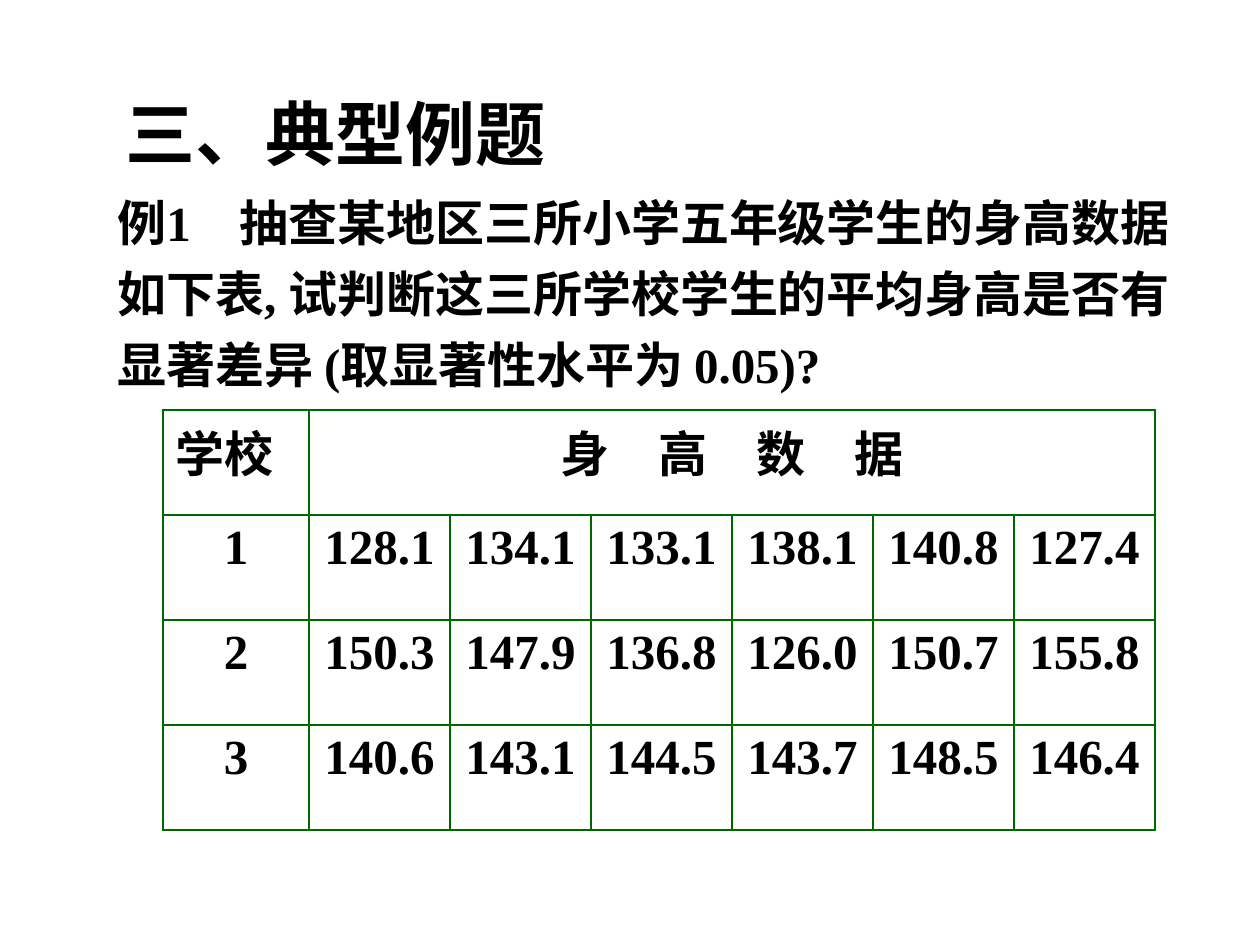
"""Build the worked-example slide on pupils' heights in three schools."""
from lxml import etree
from pptx import Presentation
from pptx.dml.color import RGBColor
from pptx.enum.text import MSO_ANCHOR, MSO_AUTO_SIZE, PP_ALIGN
from pptx.oxml.ns import qn
from pptx.util import Emu, Pt

LEFT, CENTER = PP_ALIGN.LEFT, PP_ALIGN.CENTER
MIDDLE = MSO_ANCHOR.MIDDLE
GROW = MSO_AUTO_SIZE.SHAPE_TO_FIT_TEXT
BLACK = RGBColor(0x00, 0x00, 0x00)
GREEN = RGBColor(0x00, 0x66, 0x00)
FONT = "Times New Roman"

QUESTION = [
    "例1　抽查某地区三所小学五年级学生的身高数据",
    "如下表, 试判断这三所学校学生的平均身高是否有",
    "显著差异 (取显著性水平为 0.05)?",
]
HEIGHTS = [
    ["128.1", "134.1", "133.1", "138.1", "140.8", "127.4"],
    ["150.3", "147.9", "136.8", "126.0", "150.7", "155.8"],
    ["140.6", "143.1", "144.5", "143.7", "148.5", "146.4"],
]


def px(count):
    return Emu(round(count * 914400 / 126))


def style(para, size, align=LEFT):
    para.alignment = align
    para.font.name = FONT
    para.font.size = Pt(size)
    para.font.bold = True
    para.font.color.rgb = BLACK


deck = Presentation()
deck.slide_width, deck.slide_height = px(1260), px(945)
page = deck.slides.add_slide(deck.slide_layouts[5])

title = page.shapes.title
title.left, title.top, title.width, title.height = px(113), px(84), px(1075), px(97)
title.text_frame.text = "三、典型例题"
title.text_frame.vertical_anchor = MIDDLE
title.text_frame.auto_size = GROW
style(title.text_frame.paragraphs[0], 40)

question = page.shapes.add_textbox(px(105), px(175), px(1100), px(224))
question.text_frame.text = "\n".join(QUESTION)
question.text_frame.word_wrap = True
question.text_frame.margin_right = 0
question.text_frame.auto_size = GROW
for para in question.text_frame.paragraphs:
    para.line_spacing = 1.2
    style(para, 28)

rows = [["学校", "身　高　数　据"] + [""] * 5]
rows += [[str(school), *values] for school, values in enumerate(HEIGHTS, 1)]
frame = page.shapes.add_table(4, 7, px(163), px(410), px(992), px(420))
table = frame.table
table.first_row = table.horz_banding = False
for index, column in enumerate(table.columns):
    column.width = px(141 if index else 146)

for row_index, texts in enumerate(rows):
    table.rows[row_index].height = px(105)
    for column_index, text in enumerate(texts):
        cell = table.cell(row_index, column_index)
        cell.text = text
        style(cell.text_frame.paragraphs[0], 28, CENTER if row_index or column_index else LEFT)
        properties = cell._tc.get_or_add_tcPr()
        for side in ("a:lnL", "a:lnR", "a:lnT", "a:lnB"):
            border = etree.SubElement(properties, qn(side), w=str(Pt(1.47)))
            fill = etree.SubElement(border, qn("a:solidFill"))
            etree.SubElement(fill, qn("a:srgbClr"), val=str(GREEN))
        cell.fill.background()
table.cell(0, 1).merge(table.cell(0, 6))

deck.save("out.pptx")
